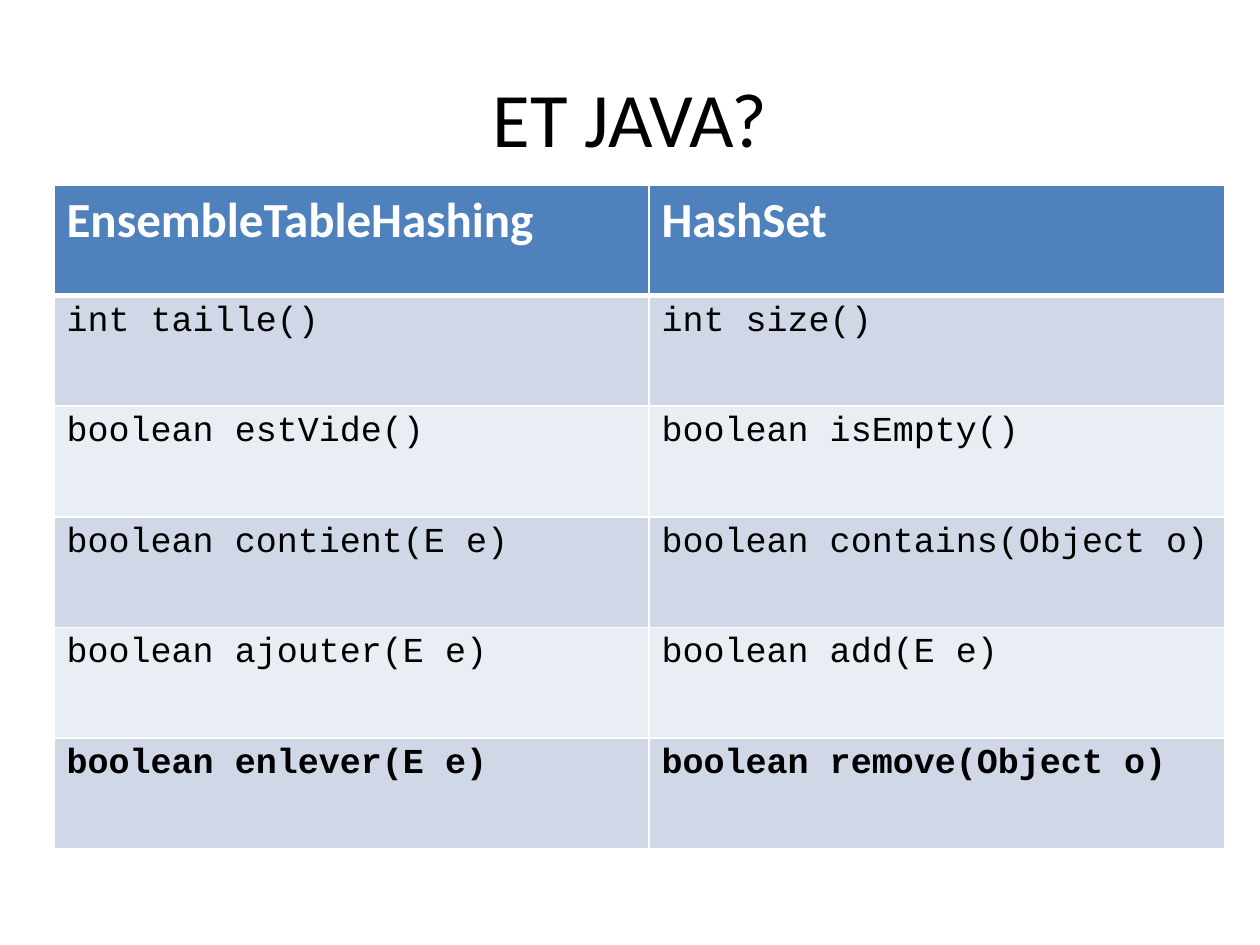
import pptx
import pptx.util
import pptx.dml.color
import pptx.enum.text
import pptx.oxml
import pptx.oxml.ns

TITLE = "ET JAVA?"
METHODS = [
    ("EnsembleTableHashing", "HashSet"),
    ("int taille()", "int size()"),
    ("boolean estVide()", "boolean isEmpty()"),
    ("boolean contient(E e)", "boolean contains(Object o)"),
    ("boolean ajouter(E e)", "boolean add(E e)"),
    ("boolean enlever(E e)", "boolean remove(Object o)"),
]
LAST_ROW = len(METHODS) - 1

PIXEL = 914400 / 126
SLIDE_SIZE = (1260, 945)
TITLE_BOX = (63, 38, 1134, 157)
TABLE_ORIGIN = (54, 185)
COLUMN_WIDTHS = (595, 576)
TABLE_HEIGHT = 664

THEME = {
    "title": {"name": "Calibri", "size": 44, "bold": False, "color": "000000"},
    "header": {"name": "Calibri", "size": 28, "bold": True, "color": "FFFFFF"},
    "method": {"name": "Courier New", "size": 20, "bold": False, "color": "000000"},
    "strong": {"name": "Courier New", "size": 20, "bold": True, "color": "000000"},
    "header_fill": "4F81BD",
    "bands": ("E9EDF4", "D0D8E8"),
    "border": "FFFFFF",
    "thin": 1,
    "thick": 3,
}


def emu(pixels):
    """Turn pixels into EMU."""
    return pptx.util.Emu(round(pixels * PIXEL))


def rgb(value):
    """Turn a hex string into a colour."""
    return pptx.dml.color.RGBColor.from_string(value)


def write(text_frame, text, style):
    """Put one formatted run of text into a frame."""
    run = text_frame.paragraphs[0].add_run()
    run.text = text
    values = {"name": style["name"], "size": pptx.util.Pt(style["size"]), "bold": style["bold"]}
    for attribute, value in values.items():
        setattr(run.font, attribute, value)
    run.font.color.rgb = rgb(style["color"])


def set_borders(cell, widths):
    """Draw the cell borders, given point widths by side in schema order."""
    properties = cell._tc.get_or_add_tcPr()
    for index, (side, points) in enumerate(widths.items()):
        line = pptx.oxml.parse_xml(
            f'<a:ln{side} {pptx.oxml.ns.nsdecls("a")} w="{pptx.util.Pt(points)}">'
            f'<a:solidFill><a:srgbClr val="{THEME["border"]}"/></a:solidFill></a:ln{side}>'
        )
        properties.insert(index, line)


def add_title(slide):
    """Place and fill the title placeholder."""
    title = slide.shapes.title
    for attribute, value in zip(("left", "top", "width", "height"), TITLE_BOX):
        setattr(title, attribute, emu(value))
    title.text_frame.vertical_anchor = pptx.enum.text.MSO_ANCHOR.MIDDLE
    write(title.text_frame, TITLE, THEME["title"])
    title.text_frame.paragraphs[0].alignment = pptx.enum.text.PP_ALIGN.CENTER


def add_method_table(slide):
    """Add the table that pairs the methods of both classes."""
    frame = slide.shapes.add_table(
        len(METHODS), len(COLUMN_WIDTHS), *map(emu, TABLE_ORIGIN),
        emu(sum(COLUMN_WIDTHS)), emu(TABLE_HEIGHT),
    )
    table = frame.table
    for column, width in zip(table.columns, COLUMN_WIDTHS):
        column.width = emu(width)
    for row_index, texts in enumerate(METHODS):
        table.rows[row_index].height = emu(TABLE_HEIGHT / len(METHODS))
        style = {0: "header", LAST_ROW: "strong"}.get(row_index, "method")
        fill = THEME["bands"][row_index % 2] if row_index else THEME["header_fill"]
        widths = dict.fromkeys("LRTB", THEME["thin"])
        if row_index < 2:
            widths["T" if row_index else "B"] = THEME["thick"]
        for column_index, text in enumerate(texts):
            cell = table.cell(row_index, column_index)
            cell.fill.solid()
            cell.fill.fore_color.rgb = rgb(fill)
            set_borders(cell, widths)
            write(cell.text_frame, text, THEME[style])


def main():
    """Build and save the slide."""
    presentation = pptx.Presentation()
    presentation.slide_width, presentation.slide_height = map(emu, SLIDE_SIZE)
    slide = presentation.slides.add_slide(presentation.slide_layouts.get_by_name("Title Only"))
    add_title(slide)
    add_method_table(slide)
    presentation.save("out.pptx")


main()
